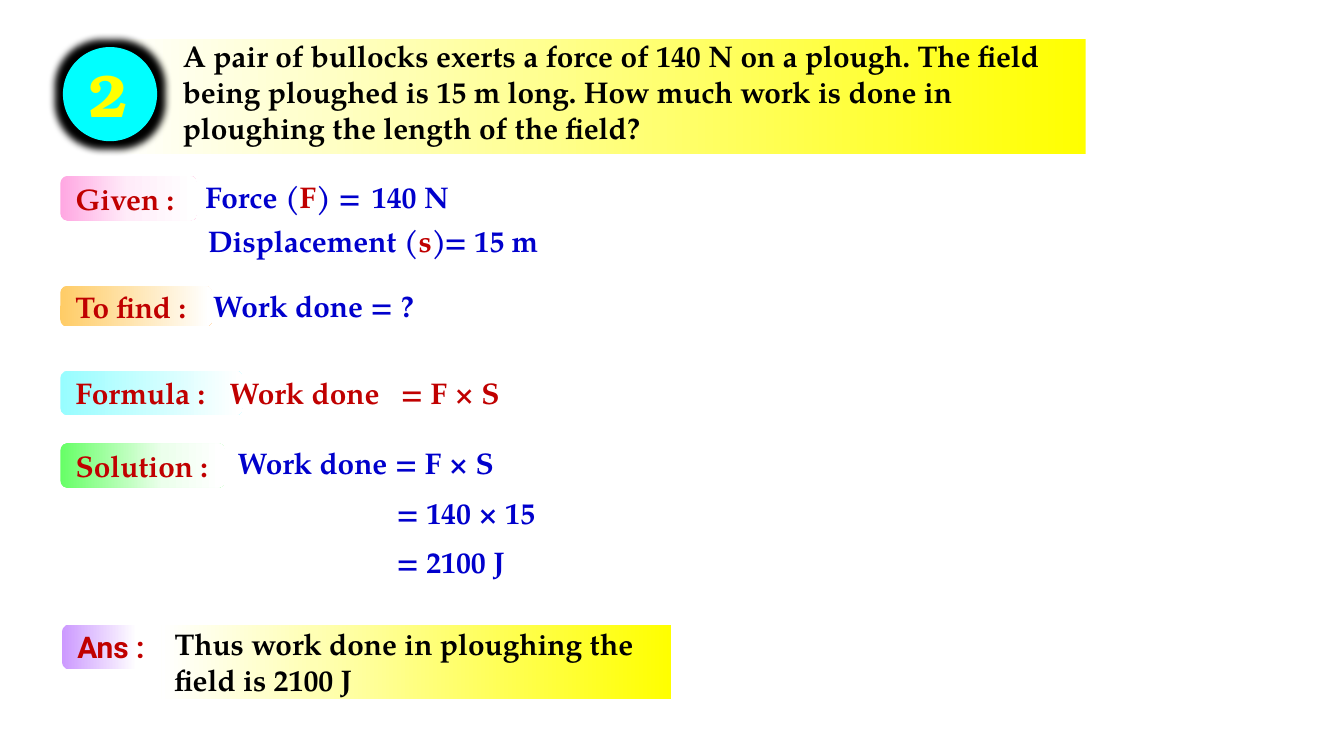
from lxml.etree import SubElement
from pptx import Presentation
from pptx.dml.color import RGBColor
from pptx.enum.shapes import MSO_SHAPE
from pptx.enum.text import MSO_ANCHOR, MSO_AUTO_SIZE, PP_ALIGN
from pptx.oxml.ns import qn
from pptx.util import Cm, Pt

BLUE, RED, BLACK, YELLOW = "0000CC", "C00000", "000000", "FFFF00"
GOLD = [(0, YELLOW), (70, "FFFFB4"), (100, "FFFFFF")]
SERIF = "TeX Gyre Pagella"
LINE = 0.94  # height of one line of working

# Each step: top, width and height of its label, label text, label gradient,
# line colour, and lines as (right shift, down shift, width, text).
# Parts between bars are red.
STEPS = [
    (3.33, 2.59, 0.84, "Given :", [(0, "FFA7E2"), (49, "FFECF9"), (98, "FFFFFF")], BLUE,
     [(2.49, -0.08, 3.78, "Force (|F|) ="), (5.64, -0.08, 2.54, "140 N"),
      (2.54, 0.76, 10.59, "Displacement (|s|)"), (7.01, 0.76, 2.54, "= 15 m")]),
    (5.41, 2.87, 0.76, "To find :", [(0, "FFCC66"), (98, "FFFFFF")], BLUE,
     [(2.64, -0.1, 9.86, "Work done = ?")]),
    (7.01, 3.45, 0.84, "Formula :", [(0, "97FDFF"), (98, "FFFFFF")], RED,
     [(2.95, -0.05, 4.06, "Work done"), (6.18, -0.05, 2.54, "= F × S")]),
    (8.38, 3.12, 0.84, "Solution :", [(0, "66FF66"), (62, "ECFFEC"), (98, "FFFFFF")], BLUE,
     [(3.1, -0.1, 11.63, "Work done = F × S"),
      (6.1, LINE - 0.1, 3.56, "= 140 × 15"),
      (6.1, 2 * LINE - 0.1, 2.79, "= 2100 J")]),
]


def paint(color, code):
    color.rgb = RGBColor.from_string(code)


def write(para, text, code, **form):
    """Add runs to a paragraph; the parts between bars are red."""
    form = {"name": SERIF, "size": Pt(16), "bold": True} | form
    for num, part in enumerate(text.split("|")):
        run = para.add_run()
        run.text = part
        for key, value in form.items():
            setattr(run.font, key, value)
        paint(run.font.color, RED if num % 2 else code)


def set_frame(frame, **form):
    for key, value in form.items():
        setattr(frame, key, value)


def add_shape(slide, kind, box):
    shape = slide.shapes.add_shape(kind, *map(Cm, box))
    shape.shadow.inherit = False
    shape.line.fill.background()
    return shape


def add_fade(slide, kind, box, stops, angle=0):
    """Add a shape with a gradient of (percent, colour) stops."""
    shape = add_shape(slide, kind, box)
    shape.fill.gradient()
    shape.fill.gradient_angle = angle
    group = next(shape.element.spPr.iter(qn("a:gsLst")))
    for stop in list(group):
        group.remove(stop)
    for place, code in stops:
        stop = SubElement(group, qn("a:gs"), pos=str(place * 1000))
        SubElement(stop, qn("a:srgbClr"), val=code)
    return shape


def add_line(slide, box, text, code):
    area = slide.shapes.add_textbox(*map(Cm, box))
    set_frame(area.text_frame, word_wrap=True, auto_size=MSO_AUTO_SIZE.SHAPE_TO_FIT_TEXT)
    write(area.text_frame.paragraphs[0], text, code)


def add_label(slide, box, text, stops, **form):
    label = add_fade(slide, MSO_SHAPE.ROUNDED_RECTANGLE, box, stops)
    set_frame(label.text_frame, word_wrap=True, vertical_anchor=MSO_ANCHOR.MIDDLE)
    para = label.text_frame.paragraphs[0]
    para.alignment = PP_ALIGN.LEFT
    write(para, text, RED, **form)


def add_badge(slide, box, text):
    """Add a glowing disc with an outlined number."""
    left, top, width, height = box
    disc = add_shape(slide, MSO_SHAPE.OVAL, box)
    disc.fill.solid()
    paint(disc.fill.fore_color, "00FFFF")
    effect = disc.element.spPr.find(qn("a:effectLst"))
    glow = SubElement(effect, qn("a:glow"), rad=str(Pt(8)))
    SubElement(glow, qn("a:srgbClr"), val=BLACK)

    area = slide.shapes.add_textbox(
        Cm(left + 0.23), Cm(top + 0.08), Cm(width - 0.51), Cm(height - 0.15))
    set_frame(area.text_frame, word_wrap=False, auto_size=MSO_AUTO_SIZE.SHAPE_TO_FIT_TEXT)
    para = area.text_frame.paragraphs[0]
    para.alignment = PP_ALIGN.CENTER
    write(para, text, YELLOW, name="TeX Gyre Bonum", size=Pt(32))
    props = para.runs[0].font._element
    edge = props.makeelement(qn("a:ln"), {"w": str(Pt(1.5))})
    props.insert(0, edge)
    SubElement(SubElement(edge, qn("a:solidFill")), qn("a:srgbClr"), val=BLACK)


def add_question(slide, box, number, lines):
    left, top, width, height = box
    band = add_fade(slide, MSO_SHAPE.ROUNDED_RECTANGLE,
                    (left + 0.84, top + 0.2, width - 0.84, height - 0.22), GOLD, 180)
    band.adjustments[0] = 0
    title = slide.shapes.title
    title.element.addprevious(band.element)
    title.left, title.top = Cm(left + 2.01), Cm(top)
    title.width, title.height = Cm(width - 2.18), Cm(height)
    frame = title.text_frame
    set_frame(frame, word_wrap=True, auto_size=MSO_AUTO_SIZE.NONE,
              vertical_anchor=MSO_ANCHOR.MIDDLE)
    for num, text in enumerate(lines):
        para = frame.add_paragraph() if num else frame.paragraphs[0]
        para.alignment = PP_ALIGN.LEFT
        write(para, text, BLACK)
    add_badge(slide, (left, top + 0.36, 1.78, 1.78), number)


def add_step(slide, box, text, stops, code, lines):
    left, top = box[:2]
    add_label(slide, box, text, stops)
    for right, down, width, line in lines:
        add_line(slide, (left + right, top + down, width, LINE), line, code)


def add_answer(slide, box, text):
    left, top, width, height = box
    add_label(slide, (left, top, 2.57, 0.84), "Ans :",
              [(0, "CC99FF"), (55, "FFFFFF")], name="Roboto")
    band = add_fade(slide, MSO_SHAPE.RECTANGLE,
                    (left + 1.88, top, width - 1.88, height), GOLD, 180)
    set_frame(band.text_frame, word_wrap=True, vertical_anchor=MSO_ANCHOR.MIDDLE)
    para = band.text_frame.paragraphs[0]
    para.alignment = PP_ALIGN.LEFT
    write(para, text, BLACK)


def main():
    deck = Presentation()
    deck.slide_width, deck.slide_height = Cm(25.4), Cm(14.29)
    slide = deck.slides.add_slide(deck.slide_layouts[5])
    add_question(slide, (1.19, 0.53, 19.33, 2.41), "2", [
        "A pair of bullocks exerts a force of 140 N on a plough. The field",
        "being ploughed is 15 m long. How much work is done in "
        "ploughing the length of the field?",
    ])
    for top, width, height, *rest in STEPS:
        add_step(slide, (1.14, top, width, height), *rest)
    add_answer(slide, (1.17, 11.81, 11.51, 1.4),
               "Thus work done in ploughing the field is 2100 J")
    deck.save("out.pptx")


if __name__ == "__main__":
    main()
